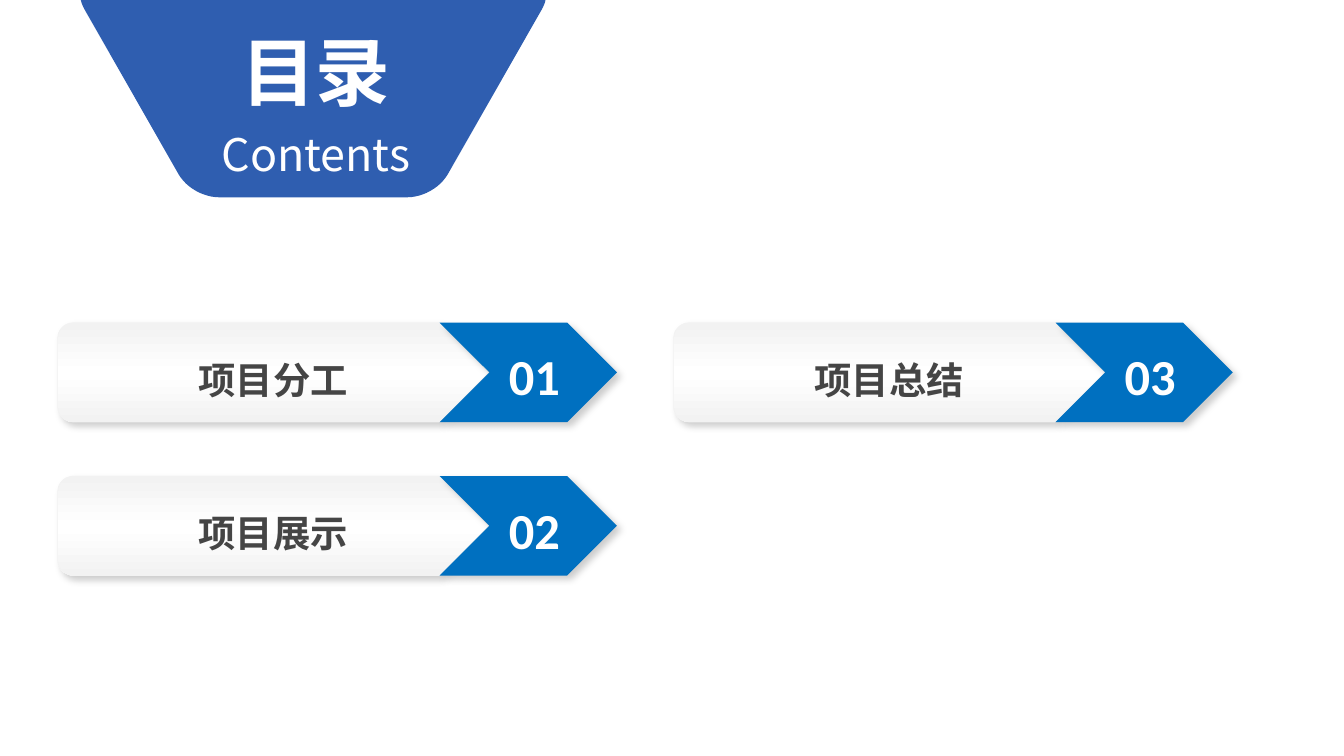
from lxml.etree import SubElement
from pptx import Presentation
from pptx.dml.color import RGBColor
from pptx.enum.shapes import MSO_SHAPE as Shape
from pptx.enum.text import MSO_ANCHOR as Anchor, MSO_AUTO_SIZE as AutoSize, PP_ALIGN as Align
from pptx.oxml import parse_xml
from pptx.oxml.ns import nsdecls, qn
from pptx.util import Cm, Pt

COLORS = {
    "panel": "2F5EB0",
    "arrow": "0070C0",
    "edge": "F2F2F2",
    "white": "FFFFFF",
    "label": "454545",
    "shadow": "000000",
}
CJK, LATIN = "Noto Sans CJK SC", "Calibri"


def color(name):
    return RGBColor.from_string(COLORS[name])


def bend(start, corner, end, steps=12):
    """Points of a rounded corner, as a cubic curve from start to end."""
    pull = 0.58
    first = [s + pull * (c - s) for s, c in zip(start, corner)]
    second = [e + pull * (c - e) for e, c in zip(end, corner)]
    points = []
    for step in range(steps + 1):
        t = step / steps
        u = 1 - t
        points.append(tuple(
            u**3 * a + 3 * u * u * t * b + 3 * u * t * t * c + t**3 * d
            for a, b, c, d in zip(start, first, second, end)))
    return points


class ContentsPage:
    bar_width, bar_height, radius = 8.15, 1.88, 0.31
    arrow_offset, arrow_width = 7.22, 3.35

    def __init__(self, page):
        self.page = page

    def set_text(self, shape, text, size, font, ink, bold=True, spacing=1.0):
        frame = shape.text_frame
        frame.text = text
        frame.word_wrap = True
        frame.auto_size = AutoSize.NONE
        frame.vertical_anchor = Anchor.MIDDLE
        para = frame.paragraphs[0]
        para.alignment = Align.CENTER
        para.line_spacing = spacing
        para.space_before = Pt(0)
        span = para.runs[0]
        span.font.size, span.font.bold, span.font.name = Pt(size), bold, font
        span.font.color.rgb = color(ink)
        SubElement(span.font._element, qn("a:ea"), typeface=font)

    def outline(self, points):
        start, *rest = [(Cm(x), Cm(y)) for x, y in points]
        builder = self.page.shapes.build_freeform(*start)
        builder.add_line_segments(rest, close=True)
        shape = builder.convert_to_shape()
        shape.shadow.inherit = False
        return shape

    def cast_shadow(self, shape):
        shape.shadow.inherit = False
        effects = shape.element.spPr.find(qn("a:effectLst"))
        effects.append(parse_xml(
            f'<a:outerShdw {nsdecls("a")} blurRad="{Pt(4)}" dist="{Pt(3)}" dir="2700000" '
            f'algn="tl" rotWithShape="0"><a:srgbClr val="{COLORS["shadow"]}">'
            '<a:alpha val="20000"/></a:srgbClr></a:outerShdw>'))

    def shade(self, shape):
        stops = "".join(
            f'<a:gs pos="{place * 1000}"><a:srgbClr val="{COLORS[name]}"/></a:gs>'
            for place, name in ((0, "edge"), (51, "white"), (100, "edge")))
        shape.element.spPr.insert(2, parse_xml(
            f'<a:gradFill {nsdecls("a")}><a:gsLst>{stops}</a:gsLst>'
            '<a:lin ang="5400000" scaled="0"/></a:gradFill>'))

    def panel(self):
        # The left half mirrors the right half about the centre line
        center = 5.92
        right = bend((10.31, 0), (10.31, 0.05), (10.24, 0.18))
        right += bend((8.46, 3.3), (8.21, 3.73), (7.7, 3.73))
        left = [(2 * center - x, y) for x, y in reversed(right)]
        shape = self.outline(right + left)
        shape.fill.solid()
        shape.fill.fore_color.rgb = color("panel")
        shape.line.fill.background()
        self.page.shapes.title.element.addprevious(shape.element)

    def heading(self, holder, text, top, height, size, bold):
        holder.left, holder.top = Cm(2.97), Cm(top)
        holder.width, holder.height = Cm(6), Cm(height)
        self.set_text(holder, text, size, CJK, "white", bold)

    def bar(self, left, top, text):
        tip, bottom = left + self.bar_width, top + self.bar_height
        half, r = self.bar_height / 2, self.radius
        points = [(tip - half, top), (tip, top + half), (tip - half, bottom)]
        points += bend((left + r, bottom), (left, bottom), (left, bottom - r))
        points += bend((left, top + r), (left, top), (left + r, top))
        shape = self.outline(points)
        self.shade(shape)
        shape.line.color.rgb = color("edge")
        shape.line.width = Pt(0.25)
        self.cast_shadow(shape)
        self.set_text(shape, text, 20, CJK, "label", spacing=1.3)

    def arrow(self, left, top, number):
        shape = self.page.shapes.add_shape(
            Shape.CHEVRON, Cm(left + self.arrow_offset), Cm(top),
            Cm(self.arrow_width), Cm(self.bar_height))
        shape.fill.solid()
        shape.fill.fore_color.rgb = color("arrow")
        shape.line.fill.background()
        self.cast_shadow(shape)
        self.set_text(shape, number, 27, LATIN, "white")
        frame = shape.text_frame
        frame.margin_left, frame.margin_top = Cm(0.23), Cm(0.13)
        frame.margin_right = frame.margin_bottom = 0


def main():
    deck = Presentation()
    deck.slide_width, deck.slide_height = Cm(25.4), Cm(14.29)
    page = deck.slides.add_slide(deck.slide_layouts[0])
    contents = ContentsPage(page)

    # Heading on its panel
    contents.panel()
    contents.heading(page.shapes.title, "目录", 0.23, 2.2, 40, True)
    contents.heading(page.placeholders[1], "Contents", 2.2, 1.4, 24, False)

    # Entries run down the first column, then the second
    for index, text in enumerate(("项目分工", "项目展示", "项目总结")):
        column, row = divmod(index, 2)
        left, top = 1.09 + 11.64 * column, 6.1 + 2.9 * row
        contents.bar(left, top, text)
        contents.arrow(left, top, f"{index + 1:02}")

    deck.save("out.pptx")


if __name__ == "__main__":
    main()
